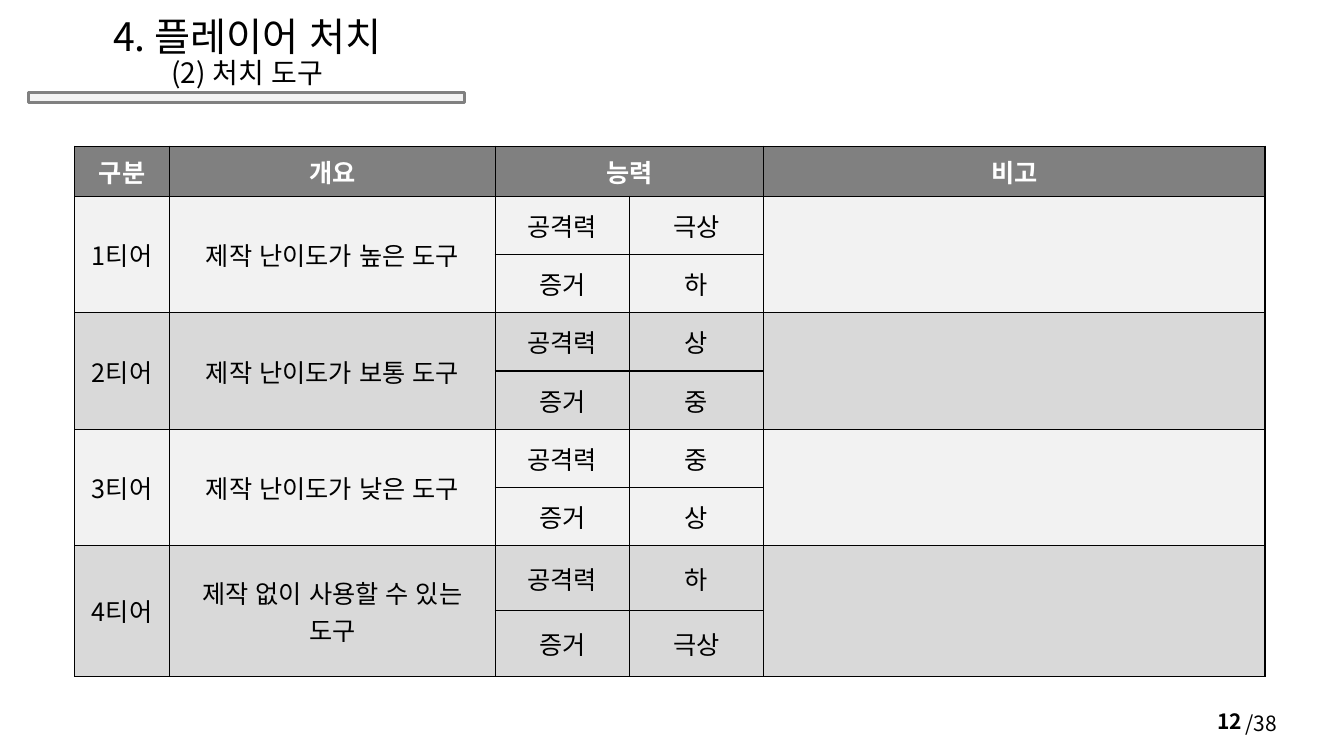
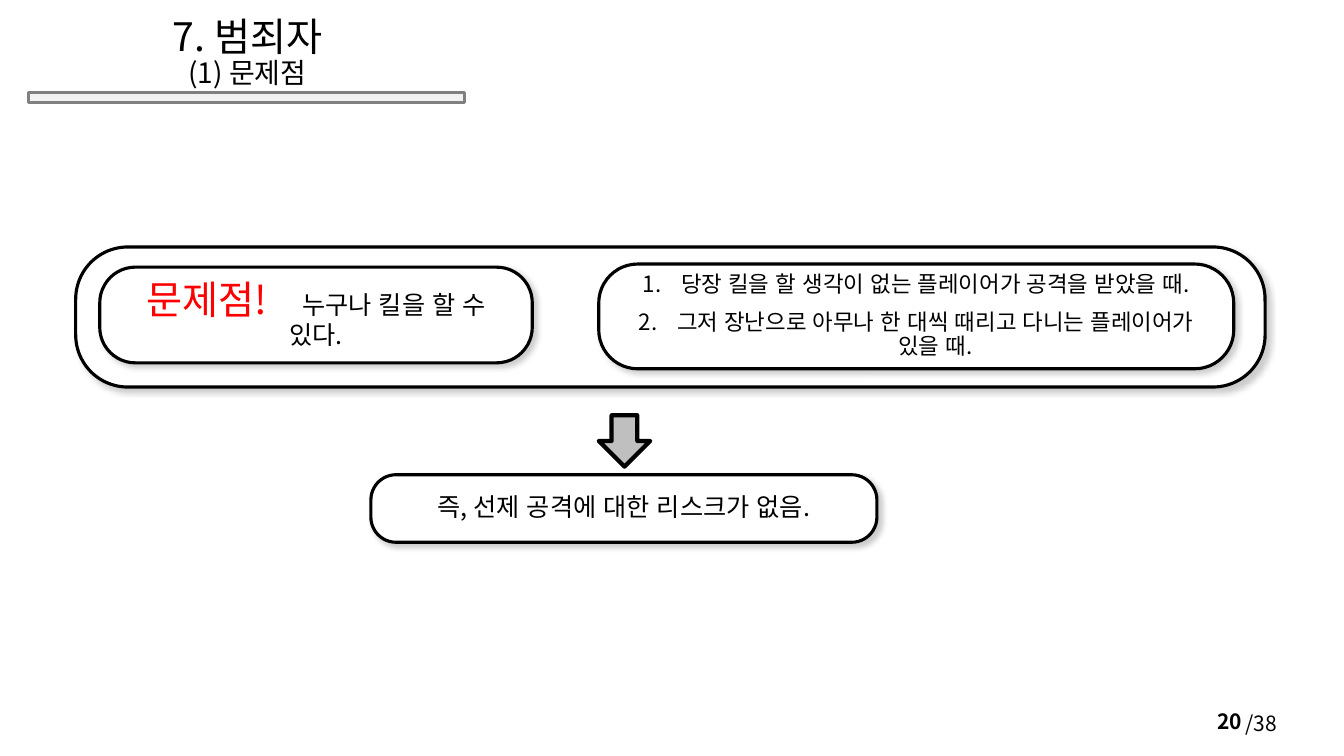
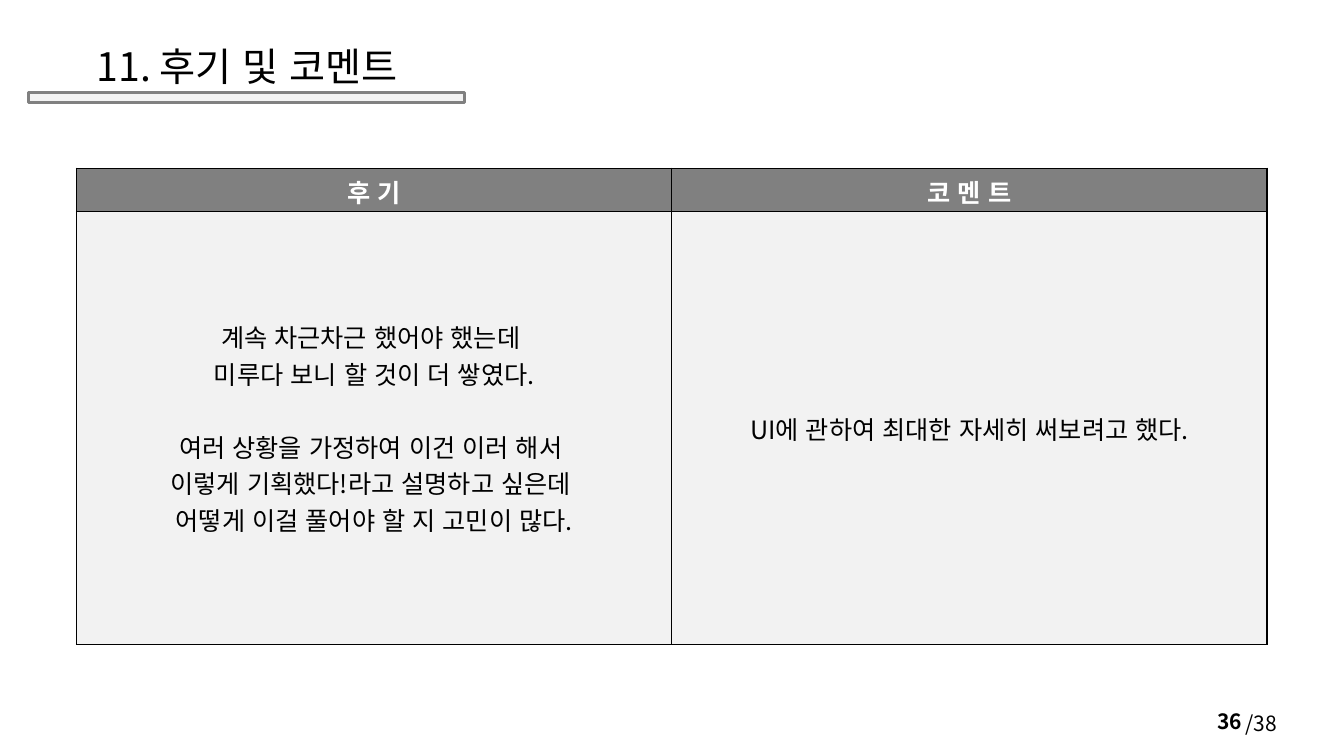
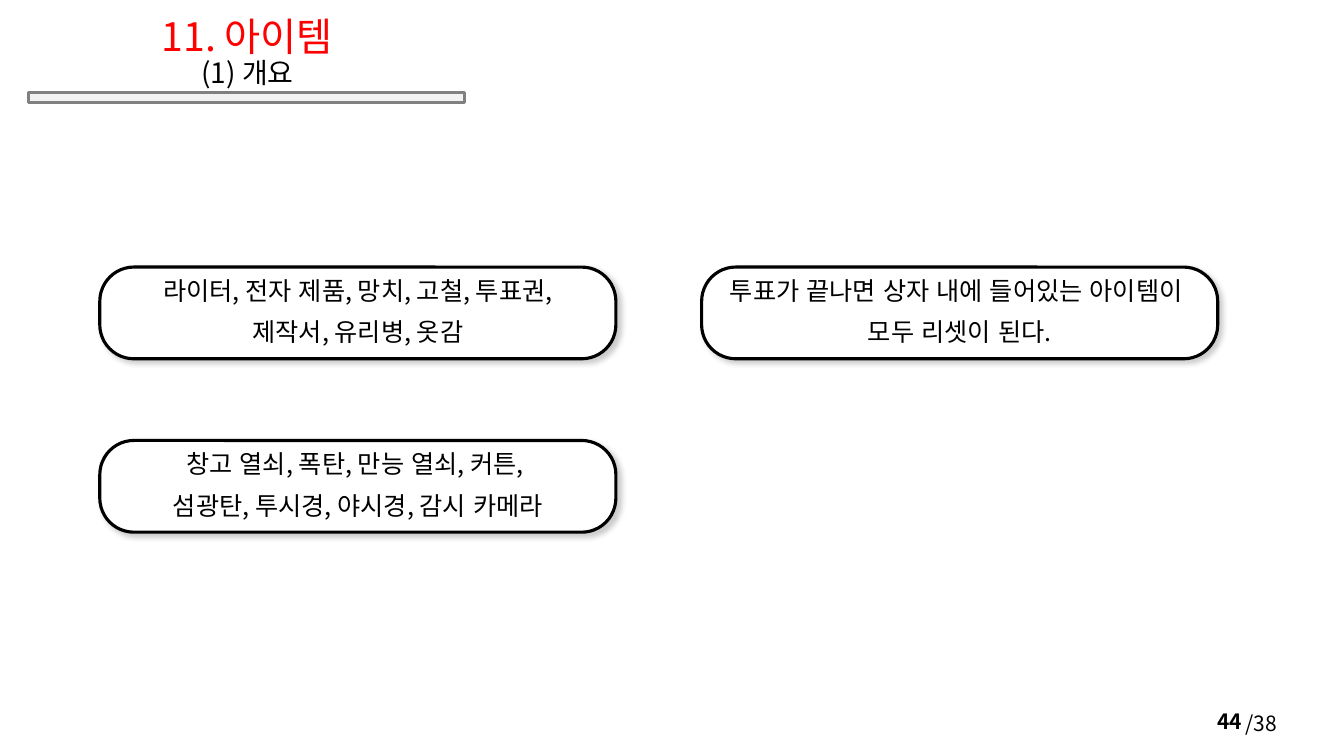
from copy import deepcopy

from lxml.etree import SubElement
from pptx import Presentation
from pptx.dml.color import RGBColor
from pptx.enum.lang import MSO_LANGUAGE_ID as LANG
from pptx.enum.shapes import MSO_SHAPE as SHAPE
from pptx.enum.text import MSO_ANCHOR as ANCHOR, MSO_AUTO_SIZE as FIT, PP_ALIGN as ALIGN
from pptx.oxml import parse_xml
from pptx.oxml.ns import nsdecls, qn
from pptx.util import Inches, Pt

FONT = "Noto Sans CJK KR"
C = {"ink": "000000", "paper": "FFFFFF", "red": "FF0000", "head": "808080",
     "light": "F2F2F2", "mid": "D9D9D9", "arrow": "BFBFBF"}
PAGE = (0, 0, Inches(13.333), Inches(7.5))
TABLE_W = 88.58
SHADOW = (f'<a:effectLst {nsdecls("a")}><a:outerShdw blurRad="50800" dist="38100" '
          f'dir="2700000" algn="tl" rotWithShape="0"><a:srgbClr val="{C["ink"]}">'
          '<a:alpha val="20000"/></a:srgbClr></a:outerShdw></a:effectLst>')


def rgb(name):
    """Return the palette colour of that name."""
    return RGBColor.from_string(C[name])


def within(box, x, y, w, h):
    """Return the part of a box given in percent of its size."""
    left, top, bw, bh = box
    return tuple(int(v) for v in (left + bw * x / 100, top + bh * y / 100,
                                  bw * w / 100, bh * h / 100))


def add_run(p, text, size=18, color="ink", bold=False, spacing=None):
    """Add a run in the deck font for both Latin and Korean text."""
    r = p.add_run()
    r.text = text
    f = r.font
    for name, value in {"size": Pt(size), "bold": bold, "name": FONT,
                        "language_id": LANG.KOREAN}.items():
        setattr(f, name, value)
    f.color.rgb = rgb(color)
    rPr = r._r.get_or_add_rPr()
    SubElement(rPr, qn("a:ea")).set("typeface", FONT)
    if spacing:
        rPr.set("spc", str(spacing * 100))
    return r


def write(tf, paras, align=ALIGN.CENTER, line=None, gap=None, numbered=False, **fmt):
    """Fill a text frame with paragraphs, each a string or a list of (text, format)."""
    for i, para in enumerate(paras):
        p = tf.add_paragraph() if i else tf.paragraphs[0]
        if numbered:
            pPr = p._p.get_or_add_pPr()
            pPr.set("marL", str(Inches(0.38)))
            pPr.set("indent", str(-Inches(0.38)))
            SubElement(pPr, qn("a:buAutoNum")).set("type", "arabicPeriod")
        p.alignment = align
        if line:
            p.line_spacing = line
        if gap and i:
            p.space_before = Pt(gap)
        for text, extra in [(para, {})] if isinstance(para, str) else para:
            add_run(p, text, **{**fmt, **extra})


def add_label(s, box, text, **fmt):
    """Add a wrapping text box with one line of text."""
    sp = s.shapes.add_textbox(*box)
    tf = sp.text_frame
    tf.word_wrap = True
    tf.vertical_anchor = ANCHOR.MIDDLE
    write(tf, [text], size=15, **fmt)
    return sp


def add_block(s, kind, box, fill, line, width):
    """Add a flat preset shape with a fill and an outline."""
    sp = s.shapes.add_shape(kind, *box)
    sp.shadow.inherit = False
    sp.fill.solid()
    sp.fill.fore_color.rgb = rgb(fill)
    sp.line.color.rgb = rgb(line)
    sp.line.width = Pt(width)
    return sp


def add_card(s, box, paras=(), **fmt):
    """Add a white rounded card with a soft shadow and centred text."""
    sp = add_block(s, SHAPE.ROUNDED_RECTANGLE, box, "paper", "ink", 2.25)
    sp.adjustments[0] = 0.372
    spPr = sp._element.spPr
    spPr.replace(spPr.find(qn("a:effectLst")), parse_xml(SHADOW))
    tf = sp.text_frame
    tf.word_wrap = True
    tf.vertical_anchor = ANCHOR.MIDDLE
    write(tf, paras, line=0.9, gap=10, **fmt)


def style_layout(prs, layout):
    """Put the title rule and the page total on the layout."""
    s = prs.slides.add_slide(layout)
    rule = add_block(s, SHAPE.RECTANGLE, within(PAGE, 2.1, 12.27, 32.48, 1.33),
                     "light", "head", 2.25)
    total = add_label(s, within(PAGE, 91.95, 93.33, 5.55, 4.67), "/38", align=ALIGN.LEFT)
    for i, sp in enumerate((rule, total)):
        sp._element.nvSpPr.cNvPr.set("id", str(100 + i))
        layout.shapes._spTree.append(sp._element)
    return s


def add_heading(s, number, title, subtitle=None, color="ink"):
    """Fill the title placeholder and add the page number."""
    sp = s.shapes.title
    sp.left, sp.top, sp.width, sp.height = within(PAGE, 2.85, 3.87, 31.12, 8.67)
    tf = sp.text_frame
    for name, value in {"word_wrap": True, "auto_size": FIT.NONE,
                        "vertical_anchor": ANCHOR.BOTTOM}.items():
        setattr(tf, name, value)
    write(tf, [title], line=0.9, size=28, color=color)
    if subtitle:
        p = tf.paragraphs[0]
        p.add_line_break()
        p._p.find(qn("a:br")).append(deepcopy(p.runs[0]._r.rPr))
        add_run(p, subtitle, size=20)
    add_label(s, within(PAGE, 70.65, 92.67, 22.5, 5.33), number,
              align=ALIGN.RIGHT, bold=True)


def style_cell(cell, fill):
    """Give a cell thin black borders, a fill and middle anchoring."""
    tcPr = cell._tc.get_or_add_tcPr()
    for side in ("L", "R", "T", "B"):
        ln = SubElement(tcPr, qn(f"a:ln{side}"))
        ln.set("w", str(Pt(1)))
        SubElement(SubElement(ln, qn("a:solidFill")), qn("a:srgbClr")).set("val", C["ink"])
    cell.fill.solid()
    cell.fill.fore_color.rgb = rgb(fill)
    cell.vertical_anchor = ANCHOR.MIDDLE


def add_grid(s, box, cols, rows, head, fills):
    """Add a table with a dark header, sized by column and row weights."""
    t = s.shapes.add_table(len(rows), len(cols), *box).table
    for parts, weights, name, size in ((t.columns, cols, "width", box[2]),
                                       (t.rows, rows, "height", box[3])):
        for part, weight in zip(parts, weights):
            setattr(part, name, int(size * weight / sum(weights)))
    for r, fill in enumerate(["head"] + fills):
        for c in range(len(cols)):
            style_cell(t.cell(r, c), fill)
    for c, text in enumerate(head):
        if text:
            write(t.cell(0, c).text_frame, [text], color="paper", bold=True)
    return t


def tier_slide(s):
    """Table of tools by tier."""
    add_heading(s, "12", "4. 플레이어 처치", "(2) 처치 도구")
    tiers = [("높은 도구", "극상", "하"), ("보통 도구", "상", "중"),
             ("낮은 도구", "중", "상"), ("", "하", "극상")]
    t = add_grid(s, within(PAGE, 5.55, 19.33, TABLE_W, 70.13),
                 [0.94, 3.23, 1.33, 1.33, 4.97], [0.5] + [0.58] * 6 + [0.65] * 2,
                 ["구분", "개요", "능력", None, "비고"],
                 (["light"] * 2 + ["mid"] * 2) * 2)
    t.cell(0, 2).merge(t.cell(0, 3))
    for i, (level, attack, evidence) in enumerate(tiers):
        top = 1 + 2 * i
        for c in (0, 1, 4):
            t.cell(top, c).merge(t.cell(top + 1, c))
        outline = f"제작 난이도가 {level}" if level else "제작 없이 사용할 수 있는 도구"
        texts = {(0, 0): f"{i + 1}티어", (0, 1): outline, (0, 2): "공격력",
                 (0, 3): attack, (1, 2): "증거", (1, 3): evidence}
        for (r, c), text in texts.items():
            write(t.cell(top + r, c).text_frame, [text])


def problem_panel(s, box):
    """Panel with the problem on the left and its cases on the right."""
    add_card(s, box)
    big = {"size": 28, "color": "red"}
    add_card(s, within(box, 2.03, 14.4, 36.36, 68.3),
             [[("문제점!", big), (" ", {**big, "spacing": 19}),
               ("누구나 킬을 할 수 있다.", {})]])
    add_card(s, within(box, 43.98, 12.2, 53.39, 74.8),
             ["당장 킬을 할 생각이 없는 플레이어가 공격을 받았을 때.",
              "그저 장난으로 아무나 한 대씩 때리고 다니는 플레이어가 있을 때."],
             numbered=True, size=16)


def problem_slide(s):
    """Problem panel leading down to a conclusion."""
    add_heading(s, "20", "7. 범죄자", "(1) 문제점")
    problem_panel(s, within(PAGE, 5.63, 32.67, 88.5, 18.53))
    add_card(s, within(PAGE, 27.6, 62.8, 37.65, 8.93),
             ["즉, 선제 공격에 대한 리스크가 없음."])
    add_block(s, SHAPE.DOWN_ARROW, within(PAGE, 44.55, 54.93, 3.83, 6.8), "arrow", "ink", 3)


def review_slide(s):
    """Two-column table of review and comment."""
    add_heading(s, "36", "11. 후기 및 코멘트")
    t = add_grid(s, within(PAGE, 5.7, 22.27, TABLE_W, 63), [1, 1], [0.43, 4.3],
                 ["후 기", "코 멘 트"], ["light"])
    review = t.cell(1, 0).text_frame
    write(review, ["계속 차근차근 했어야 했는데 ", "미루다 보니 할 것이 더 쌓였다.",
                   "여러 상황을 가정하여 이건 이러 해서 ",
                   "이렇게 기획했다!라고 설명하고 싶은데 ",
                   "어떻게 이걸 풀어야 할 지 고민이 많다."])
    review.paragraphs[2].space_before = Pt(26)
    write(t.cell(1, 1).text_frame, ["UI에 관하여 최대한 자세히 써보려고 했다."])


def item_slide(s):
    """Cards of items on a two-by-two grid."""
    add_heading(s, "44", "11. 아이템", "(1) 개요", color="red")
    cards = {(0, 0): ["라이터, 전자 제품, 망치, 고철, 투표권,", "제작서, 유리병, 옷감"],
             (0, 1): ["창고 열쇠, 폭탄, 만능 열쇠, 커튼, ", "섬광탄, 투시경, 야시경, 감시 카메라"],
             (1, 0): ["투표가 끝나면 상자 내에 들어있는 아이템이 ", "모두 리셋이 된다."]}
    for (col, row), lines in cards.items():
        add_card(s, within(PAGE, 7.43 + 44.78 * col, 35.33 + 22.93 * row, 38.4, 12.13), lines)


def main():
    """Build the deck."""
    prs = Presentation()
    prs.slide_width, prs.slide_height = PAGE[2:]
    layout = prs.slide_layouts[5]
    first = style_layout(prs, layout)
    tier_slide(first)
    for build in (problem_slide, review_slide, item_slide):
        build(prs.slides.add_slide(layout))
    prs.save("out.pptx")


if __name__ == "__main__":
    main()
